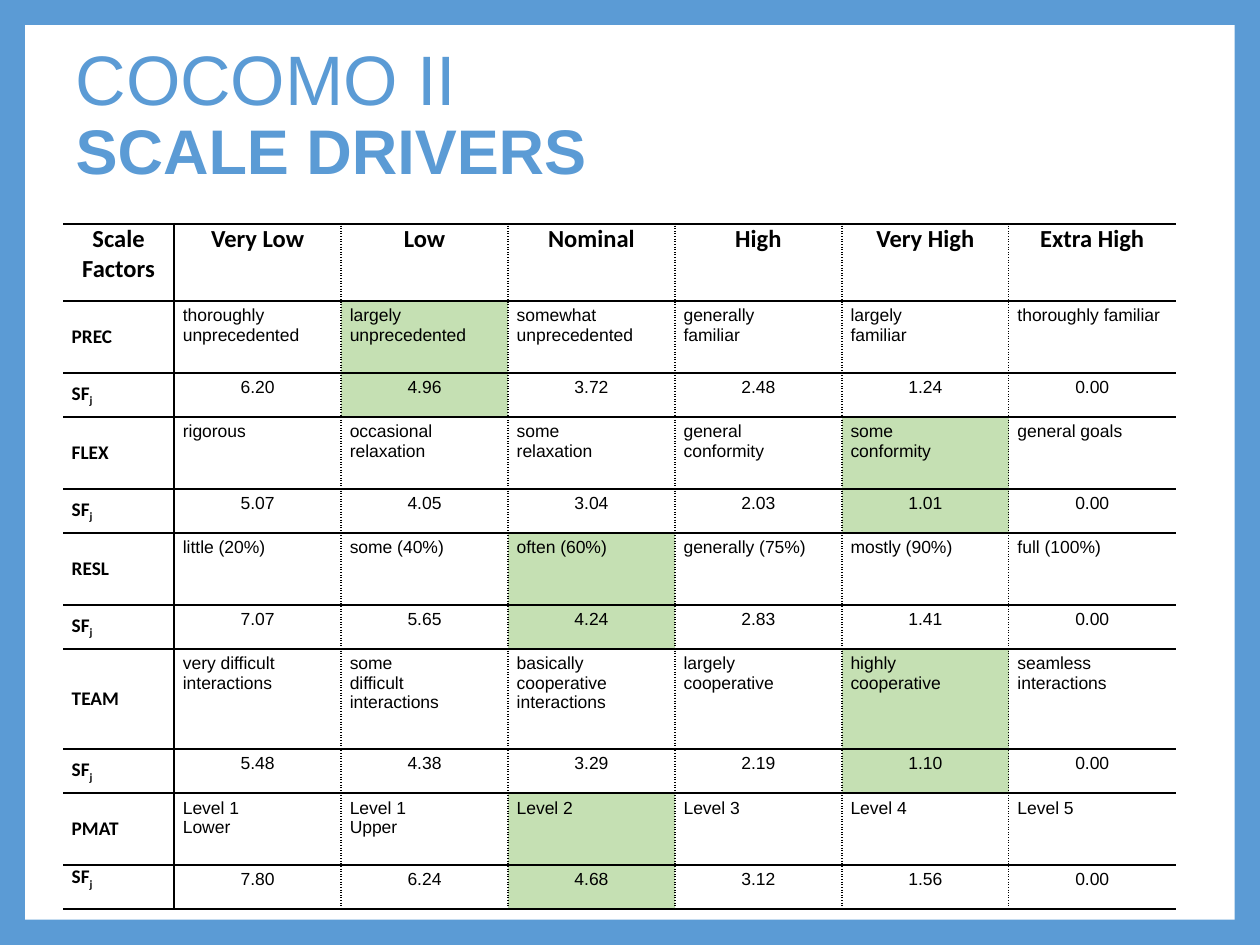
from dataclasses import dataclass

import pptx
import pptx.dml.color
import pptx.enum.shapes
import pptx.enum.text
import pptx.oxml
import pptx.oxml.ns
import pptx.util
from pptx.util import Pt

ALIGN = pptx.enum.text.PP_ALIGN
ANCHOR = pptx.enum.text.MSO_ANCHOR


def color(value):
    return pptx.dml.color.RGBColor.from_string(value)


@dataclass(frozen=True)
class Theme:
    blue: str = "5B9BD5"
    white: str = "FFFFFF"
    black: str = "000000"
    green: str = "C5E0B3"
    body_font: str = "Arial"
    label_font: str = "Calibri"
    title_size: int = 40
    subtitle_size: int = 36
    header_size: int = 14
    label_size: int = 11
    body_size: int = 10


THEME = Theme()
NO_GRID_STYLE = "{2D5ABB26-0587-4C30-8999-92F81FD0307C}"
SOLID, DOTTED = (1.5, "solid"), (1, "dot")
LEVELS = ["Very Low", "Low", "Nominal", "High", "Very High", "Extra High"]

# Driver: chosen level, descriptions, scale factors
DRIVERS = {
    "PREC": ("Low",
             ["thoroughly\nunprecedented", "largely\nunprecedented",
              "somewhat\nunprecedented", "generally\nfamiliar",
              "largely\nfamiliar", "thoroughly familiar"],
             ["6.20", "4.96", "3.72", "2.48", "1.24", "0.00"]),
    "FLEX": ("Very High",
             ["rigorous", "occasional\nrelaxation", "some\nrelaxation",
              "general\nconformity", "some\nconformity", "general goals"],
             ["5.07", "4.05", "3.04", "2.03", "1.01", "0.00"]),
    "RESL": ("Nominal",
             ["little (20%)", "some (40%)", "often (60%)",
              "generally (75%)", "mostly (90%)", "full (100%)"],
             ["7.07", "5.65", "4.24", "2.83", "1.41", "0.00"]),
    "TEAM": ("Very High",
             ["very difficult\ninteractions", "some\ndifficult\ninteractions",
              "basically\ncooperative\ninteractions", "largely\ncooperative",
              "highly\ncooperative", "seamless\ninteractions"],
             ["5.48", "4.38", "3.29", "2.19", "1.10", "0.00"]),
    "PMAT": ("Nominal",
             ["Level 1\nLower", "Level 1\nUpper", "Level 2",
              "Level 3", "Level 4", "Level 5"],
             ["7.80", "6.24", "4.68", "3.12", "1.56", "0.00"]),
}


def style_run(span, size, font, tint, bold=False):
    span.font.size = Pt(size)
    span.font.name = font
    span.font.bold = bold
    span.font.color.rgb = color(tint)


def add_frame(page):
    """Blue background with a white panel behind everything else."""
    page.background.fill.solid()
    page.background.fill.fore_color.rgb = color(THEME.blue)
    panel = page.shapes.add_shape(pptx.enum.shapes.MSO_SHAPE.RECTANGLE,
                                  Pt(14.4), Pt(14.4), Pt(691.2), Pt(511.2))
    panel.shadow.inherit = False
    panel.fill.solid()
    panel.fill.fore_color.rgb = color(THEME.white)
    panel.line.fill.background()
    page.shapes.title.element.addprevious(panel.element)


def set_title(page):
    box = page.shapes.title
    box.left, box.top, box.width, box.height = Pt(36), Pt(21.6), Pt(648), Pt(90)
    frame = box.text_frame
    frame.text = "COCOMO II\vSCALE DRIVERS"
    frame.auto_size = pptx.enum.text.MSO_AUTO_SIZE.NONE
    frame.vertical_anchor = ANCHOR.MIDDLE
    para = frame.paragraphs[0]
    para.alignment = ALIGN.LEFT
    para.line_spacing = 0.9
    first, second = para.runs
    style_run(first, THEME.title_size, THEME.body_font, THEME.blue)
    style_run(second, THEME.subtitle_size, THEME.body_font, THEME.blue, True)


def set_border(cell, side, line):
    width, dash = line
    cell._tc.get_or_add_tcPr().append(pptx.oxml.parse_xml(
        f'<a:ln{side} {pptx.oxml.ns.nsdecls("a")} w="{Pt(width)}">'
        f'<a:solidFill><a:srgbClr val="{THEME.black}"/></a:solidFill>'
        f'<a:prstDash val="{dash}"/></a:ln{side}>'))


def rule_cell(cell, row, column):
    """A heavy line after the labels and around each driver, dots between levels."""
    if column > 0:
        set_border(cell, "L", SOLID if column == 1 else DOTTED)
    if column < len(LEVELS):
        set_border(cell, "R", SOLID if column == 0 else DOTTED)
    if row == 0 or row % 2 == 1:
        set_border(cell, "T", SOLID)
    if row % 2 == 0:
        set_border(cell, "B", SOLID)


def fill_cell(cell, text, size, font, bold=False, alignment=ALIGN.LEFT,
              anchor=ANCHOR.TOP, padding=0.0, shade=None):
    cell.margin_left = cell.margin_right = Pt(5)
    cell.margin_top = cell.margin_bottom = Pt(padding)
    cell.vertical_anchor = anchor
    if shade:
        cell.fill.solid()
        cell.fill.fore_color.rgb = color(shade)
    else:
        cell.fill.background()
    cell.text_frame.text = text
    for para in cell.text_frame.paragraphs:
        para.alignment = alignment
        for span in para.runs:
            style_run(span, size, font, THEME.black, bold)


def add_subscript(cell, text):
    span = cell.text_frame.paragraphs[0].add_run()
    span.text = text
    style_run(span, THEME.label_size, THEME.label_font, THEME.black, True)
    span.font._element.set("baseline", "-25000")


def fill_driver(table, row, name, chosen, descriptions, factors):
    is_last = row + 2 == len(table.rows)
    label = dict(size=THEME.label_size, font=THEME.label_font, bold=True)
    fill_cell(table.cell(row, 0), name, anchor=ANCHOR.MIDDLE, **label)
    factor_label = table.cell(row + 1, 0)
    fill_cell(factor_label, "SF",
              anchor=ANCHOR.TOP if is_last else ANCHOR.MIDDLE, **label)
    add_subscript(factor_label, "j")
    for column, level in enumerate(LEVELS, 1):
        body = dict(size=THEME.body_size, font=THEME.body_font, padding=2.9,
                    shade=THEME.green if level == chosen else None)
        fill_cell(table.cell(row, column), descriptions[column - 1], **body)
        fill_cell(table.cell(row + 1, column), factors[column - 1],
                  alignment=ALIGN.CENTER, **body)


def add_driver_table(page):
    widths = [63.5] + [95.4] * len(LEVELS)
    heights = [43.9]
    for name in DRIVERS:
        heights += [57.4 if name == "TEAM" else 41.1, 25.2]
    table = page.shapes.add_table(len(heights), len(widths), Pt(36), Pt(128),
                                  Pt(sum(widths)), Pt(sum(heights))).table
    table.first_row = table.horz_banding = False
    table._tbl.tblPr.find(pptx.oxml.ns.qn("a:tableStyleId")).text = NO_GRID_STYLE
    for column, width in enumerate(widths):
        table.columns[column].width = Pt(width)
    for row, height in enumerate(heights):
        table.rows[row].height = Pt(height)
        for column in range(len(widths)):
            rule_cell(table.cell(row, column), row, column)

    # Header row, then two rows for each driver
    for column, heading in enumerate(["Scale Factors"] + LEVELS):
        fill_cell(table.cell(0, column), heading, THEME.header_size,
                  THEME.label_font, bold=True, alignment=ALIGN.CENTER)
    for index, (name, details) in enumerate(DRIVERS.items()):
        fill_driver(table, 2 * index + 1, name, *details)


def main():
    deck = pptx.Presentation()
    deck.slide_width, deck.slide_height = Pt(720), Pt(540)
    page = deck.slides.add_slide(deck.slide_layouts[5])
    add_frame(page)
    set_title(page)
    add_driver_table(page)
    deck.save("out.pptx")


if __name__ == "__main__":
    main()
